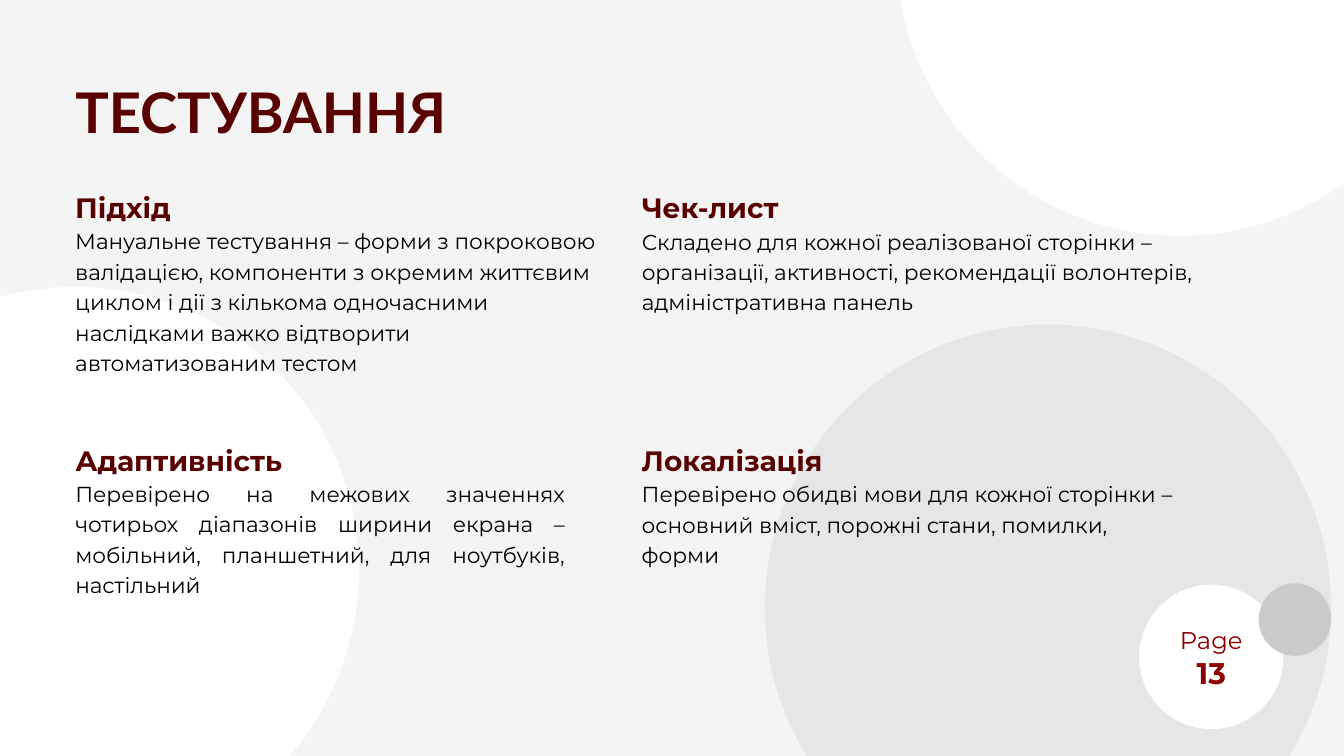
from typing import NamedTuple

import pptx
import pptx.dml.color
import pptx.enum.shapes
import pptx.enum.text
import pptx.shapes.autoshape
import pptx.slide
import pptx.text.text
import pptx.util

Inches = pptx.util.Inches
Pt = pptx.util.Pt
RGBColor = pptx.dml.color.RGBColor
PP_ALIGN = pptx.enum.text.PP_ALIGN

BACKGROUND = RGBColor(0xF4, 0xF4, 0xF4)
WHITE = RGBColor(0xFF, 0xFF, 0xFF)
LIGHT_GREY = RGBColor(0xE6, 0xE6, 0xE6)
MID_GREY = RGBColor(0xCB, 0xCB, 0xCB)
MAROON = RGBColor(0x59, 0x00, 0x00)
PAGE_RED = RGBColor(0x8C, 0x00, 0x00)
BLACK = RGBColor(0x00, 0x00, 0x00)

LEFT_COLUMN, RIGHT_COLUMN = 1.12, 9.55
TOP_ROW, BOTTOM_ROW = 2.75, 6.51
LARGE, MEDIUM, SMALL = 8.43, 2.15, 1.08


class Circle(NamedTuple):
    left: float
    top: float
    diameter: float
    color: RGBColor


class Style(NamedTuple):
    font: str
    size: float
    line_spacing: float
    color: RGBColor
    bold: bool


class Topic(NamedTuple):
    left: float
    top: float
    width: float
    height: float
    heading: str
    body: str
    align: PP_ALIGN = PP_ALIGN.LEFT


TITLE = Style("Lato", 60, 84, MAROON, True)
HEADING = Style("Montserrat", 30, 42, MAROON, True)
BODY = Style("Montserrat", 23.2, 32.5, BLACK, False)
PAGE_LABEL = Style("Montserrat", 26, 31.8, PAGE_RED, False)
PAGE_NUMBER = Style("Montserrat", 32, 39.1, PAGE_RED, True)

CIRCLES = [
    Circle(11.38, 4.83, LARGE, LIGHT_GREY),
    Circle(16.95, 8.7, MEDIUM, WHITE),
    Circle(18.73, 8.68, SMALL, MID_GREY),
    Circle(-3.09, 4.27, LARGE, WHITE),
    Circle(13.34, -4.92, LARGE, WHITE),
]

TOPICS = [
    Topic(LEFT_COLUMN, TOP_ROW, 7.8, 3.26, "Підхід",
          "Мануальне тестування – форми з покроковою валідацією, компоненти з "
          "окремим життєвим циклом і дії з кількома одночасними наслідками "
          "важко відтворити автоматизованим тестом"),
    Topic(RIGHT_COLUMN, TOP_ROW, 8.62, 1.92, "Чек-лист",
          "Складено для кожної реалізованої сторінки – організації, активності, "
          "рекомендації волонтерів, адміністративна панель"),
    Topic(LEFT_COLUMN, BOTTOM_ROW, 7.29, 2.36, "Адаптивність",
          "Перевірено на межових значеннях чотирьох діапазонів ширини екрана – "
          "мобільний, планшетний, для ноутбуків, настільний", PP_ALIGN.JUSTIFY),
    Topic(RIGHT_COLUMN, BOTTOM_ROW, 8, 1.92, "Локалізація",
          "Перевірено обидві мови для кожної сторінки – основний вміст, "
          "порожні стани, помилки, форми"),
]


def draw_circle(slide: pptx.slide.Slide, circle: Circle) -> None:
    oval = slide.shapes.add_shape(
        pptx.enum.shapes.MSO_SHAPE.OVAL, Inches(circle.left), Inches(circle.top),
        Inches(circle.diameter), Inches(circle.diameter))
    oval.shadow.inherit = False
    oval.fill.solid()
    oval.fill.fore_color.rgb = circle.color
    oval.line.fill.background()


def write_lines(frame: pptx.text.text.TextFrame, lines: list[tuple[str, Style]],
                align: PP_ALIGN) -> None:
    """Fill a frame without margins, one styled paragraph per line."""
    frame.word_wrap = True
    frame.auto_size = pptx.enum.text.MSO_AUTO_SIZE.NONE
    frame.vertical_anchor = pptx.enum.text.MSO_ANCHOR.TOP
    frame.margin_left = frame.margin_top = frame.margin_right = frame.margin_bottom = 0
    for index, (words, style) in enumerate(lines):
        paragraph = frame.add_paragraph() if index else frame.paragraphs[0]
        paragraph.alignment = align
        paragraph.line_spacing = Pt(style.line_spacing)
        run = paragraph.add_run()
        run.text = words
        run.font.name = style.font
        run.font.size = Pt(style.size)
        run.font.bold = style.bold
        run.font.color.rgb = style.color


def draw_topic(slide: pptx.slide.Slide, topic: Topic) -> None:
    box = slide.shapes.add_textbox(Inches(topic.left), Inches(topic.top),
                                   Inches(topic.width), Inches(topic.height))
    write_lines(box.text_frame, [(topic.heading, HEADING), (topic.body, BODY)], topic.align)


def main() -> None:
    deck = pptx.Presentation()
    deck.slide_width, deck.slide_height = Inches(20), Inches(11.25)
    slide = deck.slides.add_slide(deck.slide_layouts.get_by_name("Title Only"))
    slide.background.fill.solid()
    slide.background.fill.fore_color.rgb = BACKGROUND

    title = slide.shapes.title
    title.left, title.top = Inches(LEFT_COLUMN), Inches(0.99)
    title.width, title.height = Inches(12.72), Inches(1.14)
    write_lines(title.text_frame, [("ТЕСТУВАННЯ", TITLE)], PP_ALIGN.JUSTIFY)

    for circle in CIRCLES:
        draw_circle(slide, circle)
    for topic in TOPICS:
        draw_topic(slide, topic)

    page = slide.shapes.add_textbox(Inches(17.55), Inches(9.29), Inches(0.95), Inches(0.97))
    write_lines(page.text_frame, [("Page", PAGE_LABEL), ("13", PAGE_NUMBER)], PP_ALIGN.CENTER)

    deck.save("out.pptx")


if __name__ == "__main__":
    main()
